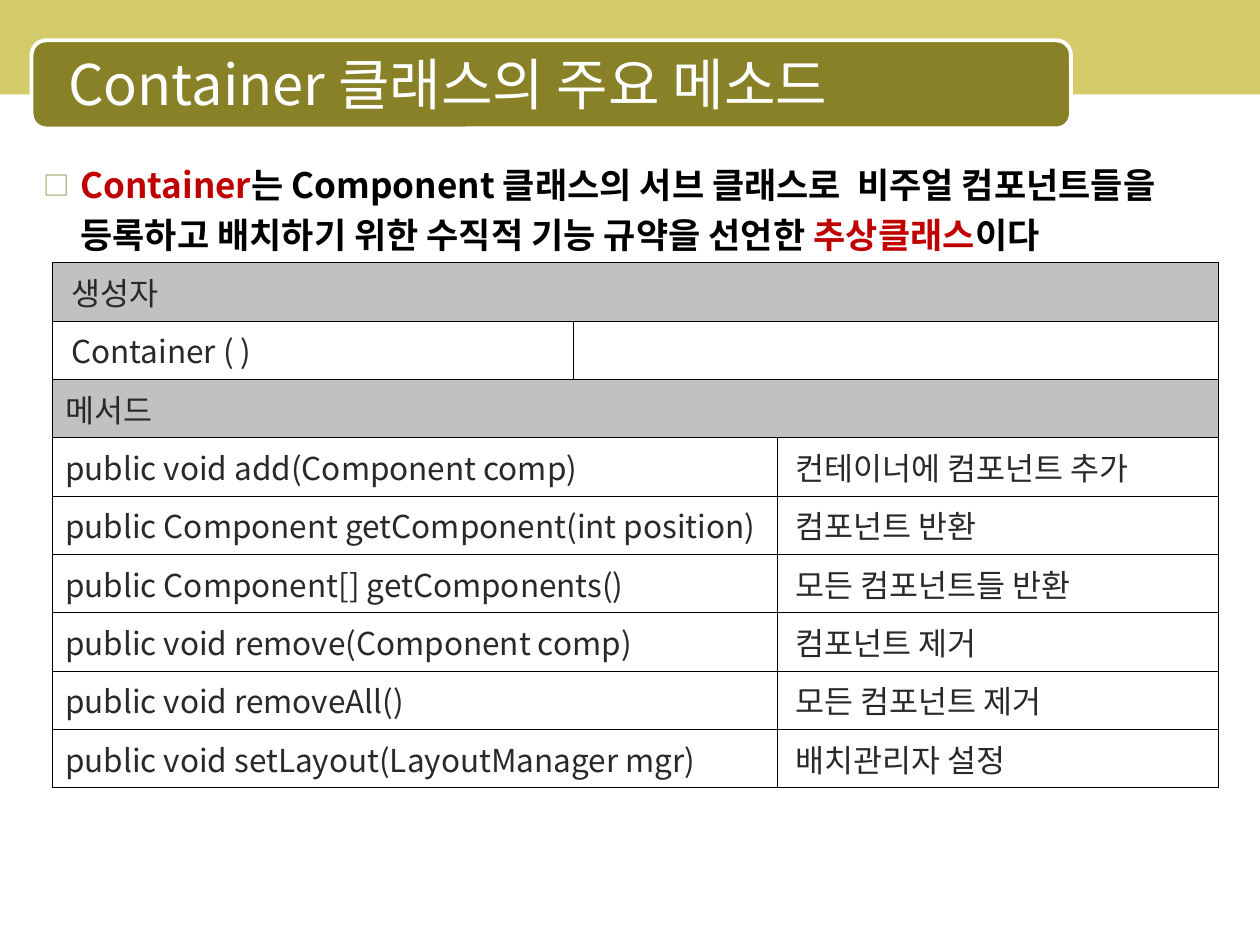
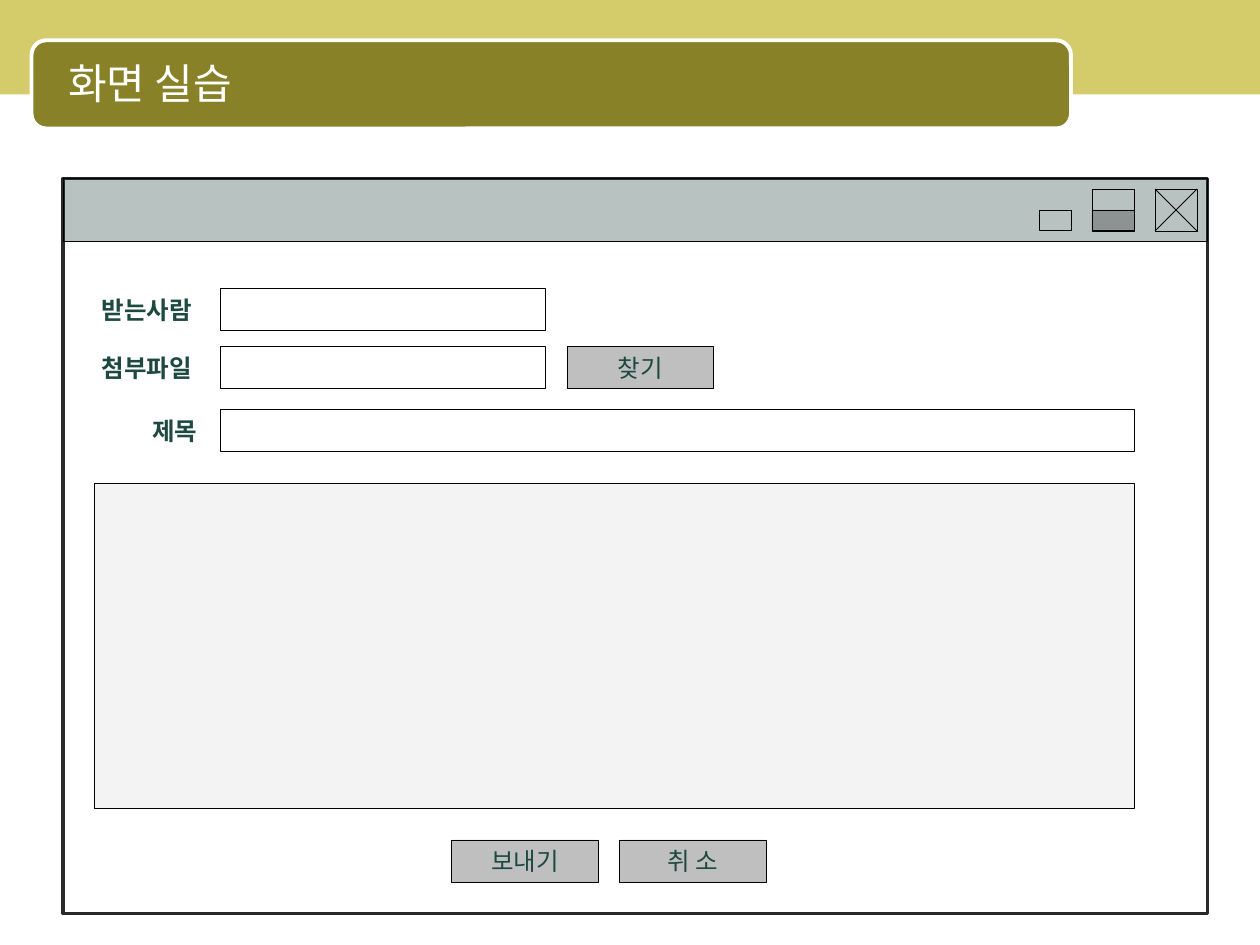
from dataclasses import dataclass
from typing import Optional

from lxml import etree
from pptx import Presentation
from pptx.dml.color import RGBColor
from pptx.enum import shapes, text
from pptx.oxml import ns
from pptx.util import Emu, Inches, Pt

# Shared style: a grid of 120 columns by 90 rows covers the slide
CELL = Inches(1) / 12
SLIDE_COLUMNS, SLIDE_ROWS = 120, 90
FONT = "Noto Sans CJK KR"
COLORS = {
    "band": "D4CC6A", "title": "888128", "white": "FFFFFF", "black": "000000",
    "red": "C00000", "bullet": "8CA35F", "ink": "292929", "header": "C1C1C1",
    "frame_bar": "163730", "label": "1D4940", "button": "BFBFBF", "memo": "D9D9D9",
}
RECTANGLE = shapes.MSO_SHAPE.RECTANGLE
ALIGN = text.PP_ALIGN


@dataclass(frozen=True)
class Area:
    column: float
    row: float
    columns: float
    rows: float

    def emu(self) -> list:
        return [grid(n) for n in (self.column, self.row, self.columns, self.rows)]


@dataclass(frozen=True)
class Box:
    area: Area
    fill: Optional[str] = None
    opacity: int = 100
    line: Optional[str] = "black"
    width: float = 0.5
    kind: int = RECTANGLE


@dataclass(frozen=True)
class Label:
    text: str
    area: Area
    align: int = ALIGN.CENTER


@dataclass(frozen=True)
class Row:
    left: str
    right: str = ""
    header: bool = False
    split: int = 2
    left_margin: float = 0.1


def grid(count: float) -> Emu:
    return Emu(round(count * CELL))


def rgb(name: str) -> RGBColor:
    return RGBColor.from_string(COLORS[name])


def child(parent, tag: str, **attributes: str):
    return etree.SubElement(parent, ns.qn(tag), attributes)


def style(font, size: float, color: str, bold: bool = False) -> None:
    font.name, font.size, font.bold = FONT, Pt(size), bold
    font.color.rgb = rgb(color)


def write(paragraph, content: str, size: float, color: str,
          bold: bool = False, align: int = ALIGN.LEFT) -> None:
    paragraph.text = content
    paragraph.alignment = align
    style(paragraph.font, size, color, bold)


def hang(paragraph, margin: float, indent: float) -> None:
    properties = paragraph._p.get_or_add_pPr()
    properties.set("marL", str(Inches(margin)))
    properties.set("indent", str(Inches(indent)))


def draw_box(slide, box: Box):
    shape = slide.shapes.add_shape(box.kind, *box.area.emu())
    shape.shadow.inherit = False
    if box.fill:
        shape.fill.solid()
        shape.fill.fore_color.rgb = rgb(box.fill)
        if box.opacity < 100:
            color = shape._element.spPr.find(".//" + ns.qn("a:srgbClr"))
            child(color, "a:alpha", val=str(box.opacity * 1000))
    else:
        shape.fill.background()
    if box.line:
        shape.line.color.rgb = rgb(box.line)
        shape.line.width = Pt(box.width)
    else:
        shape.line.fill.background()
    return shape


def draw_line(slide, start: tuple, end: tuple) -> None:
    line = slide.shapes.add_connector(
        shapes.MSO_CONNECTOR.STRAIGHT, *(grid(n) for n in start + end))
    line.line.color.rgb = rgb("black")
    line.line.width = Pt(0.5)
    child(line._element.spPr, "a:effectLst")


def add_text_frame(slide, area: Area):
    frame = slide.shapes.add_textbox(*area.emu()).text_frame
    frame.word_wrap = True
    return frame


def draw_label(slide, label: Label) -> None:
    frame = add_text_frame(slide, label.area)
    write(frame.paragraphs[0], label.text, 14, "label", True, label.align)


def draw_button(slide, label: Label) -> None:
    frame = draw_box(slide, Box(label.area, "button")).text_frame
    frame.word_wrap = False
    frame.vertical_anchor = text.MSO_ANCHOR.MIDDLE
    write(frame.paragraphs[0], label.text, 14, "label", align=label.align)


def add_titled_slide(presentation, title: str, size: float):
    slide = presentation.slides.add_slide(presentation.slide_layouts[6])
    draw_box(slide, Box(Area(0, 0, SLIDE_COLUMNS, 9), "band", line=None))
    draw_box(slide, Box(Area(3, 3.84, 99, 8.4), "title", line="white", width=2.25,
                        kind=shapes.MSO_SHAPE.ROUNDED_RECTANGLE))
    frame = add_text_frame(slide, Area(4.1, 4.2, 97, 7.4))
    frame.vertical_anchor = text.MSO_ANCHOR.MIDDLE
    write(frame.paragraphs[0], title, size, "white")
    hang(frame.paragraphs[0], 0.49, -0.39)
    return slide


# Slide 1: summary sentence and method table
SUMMARY = [
    ("Container", "red"),
    ("는 Component 클래스의 서브 클래스로  비주얼 컴포넌트들을 "
     "등록하고 배치하기 위한 수직적 기능 규약을 선언한 ", "black"),
    ("추상클래스", "red"),
    ("이다", "black"),
]
TABLE_COLUMNS = (49.6, 19.4, 42)
TABLE_ROW = 5.56
INDENTED = 0.15
METHOD_ROWS = [
    Row("생성자", header=True, left_margin=INDENTED),
    Row("Container ( )", split=1, left_margin=INDENTED),
    Row("메서드", header=True),
    Row("public void add(Component comp)", "컨테이너에 컴포넌트 추가"),
    Row("public Component getComponent(int position)", "컴포넌트 반환"),
    Row("public Component[] getComponents()", "모든 컴포넌트들 반환"),
    Row("public void remove(Component comp)", "컴포넌트 제거"),
    Row("public void removeAll()", "모든 컴포넌트 제거"),
    Row("public void setLayout(LayoutManager mgr)", "배치관리자 설정"),
]


def draw_summary(slide) -> None:
    paragraph = add_text_frame(slide, Area(3, 14.16, 114, 10)).paragraphs[0]
    paragraph.line_spacing = 1.2
    hang(paragraph, 0.29, -0.29)
    properties = paragraph._p.get_or_add_pPr()
    child(child(properties, "a:buClr"), "a:srgbClr", val=COLORS["bullet"])
    child(properties, "a:buSzPct", val="75000")
    child(properties, "a:buFont", typeface=FONT)
    child(properties, "a:buChar", char="□")
    for content, color in SUMMARY:
        run = paragraph.add_run()
        run.text = content
        style(run.font, 20, color, True)


def format_cell(cell, header: bool) -> None:
    properties = cell._tc.get_or_add_tcPr()
    for side in ("a:lnL", "a:lnR", "a:lnT", "a:lnB"):
        border = child(properties, side, w=str(Pt(0.06)))
        child(child(border, "a:solidFill"), "a:srgbClr", val=COLORS["black"])
    if header:
        cell.fill.solid()
        cell.fill.fore_color.rgb = rgb("header")
    else:
        cell.fill.background()
    cell.vertical_anchor = text.MSO_ANCHOR.MIDDLE


def fill_cell(cell, content: str, margin: float) -> None:
    cell.margin_left = Inches(margin)
    write(cell.text_frame.paragraphs[0], content, 18, "ink", align=ALIGN.JUSTIFY)


def draw_method_table(slide) -> None:
    area = Area(5, 25, sum(TABLE_COLUMNS), TABLE_ROW * len(METHOD_ROWS))
    table = slide.shapes.add_table(
        len(METHOD_ROWS), len(TABLE_COLUMNS), *area.emu()).table
    table.first_row = table.horz_banding = False
    for column, width in zip(table.columns, TABLE_COLUMNS):
        column.width = grid(width)
    last = len(TABLE_COLUMNS) - 1
    for index, row in enumerate(METHOD_ROWS):
        table.rows[index].height = grid(TABLE_ROW)
        cells = [table.cell(index, column) for column in range(last + 1)]
        for cell in cells:
            format_cell(cell, row.header)
        if row.header:
            cells[0].merge(cells[last])
        elif row.split == 1:
            cells[1].merge(cells[last])
        else:
            cells[0].merge(cells[1])
        fill_cell(cells[0], row.left, row.left_margin)
        if row.right:
            fill_cell(cells[last], row.right, INDENTED)


# Slide 2: mail window mock-up
FIELD_HEIGHT = 4
WINDOW_BOXES = [
    Box(Area(6, 17, 109, 70), "white", line="ink", width=2),
    Box(Area(6, 17, 109, 6), "frame_bar", 30),
    Box(Area(110, 18, 4, 4)),
    Box(Area(104, 18, 4, 4)),
    Box(Area(104, 20, 4, 2), "ink", 30),
    Box(Area(99, 20, 3, 2)),
    Box(Area(9, 46, 99, 31), "memo", 30),
]
CLOSE_CROSS = [((114, 18), (110, 22)), ((110, 18), (114, 22))]
FIELDS = [  # label, row, field columns, label alignment
    ("받는사람", 27.5, 31, ALIGN.CENTER),
    ("첨부파일", 33, 31, ALIGN.CENTER),
    ("제목", 39, 87, ALIGN.RIGHT),
]
BUTTONS = [
    Label("찾기", Area(54, 33, 14, FIELD_HEIGHT)),
    Label("보내기", Area(43, 80, 14, FIELD_HEIGHT)),
    Label("취 소", Area(59, 80, 14, FIELD_HEIGHT)),
]


def draw_mail_window(slide) -> None:
    for box in WINDOW_BOXES:
        draw_box(slide, box)
    for start, end in CLOSE_CROSS:
        draw_line(slide, start, end)
    for name, row, columns, align in FIELDS:
        draw_label(slide, Label(name, Area(8, row, 12, FIELD_HEIGHT), align))
        draw_box(slide, Box(Area(21, row, columns, FIELD_HEIGHT)))
    for button in BUTTONS:
        draw_button(slide, button)


def main() -> None:
    presentation = Presentation()
    presentation.slide_width = grid(SLIDE_COLUMNS)
    presentation.slide_height = grid(SLIDE_ROWS)

    methods = add_titled_slide(presentation, "Container 클래스의 주요 메소드", 32)
    draw_summary(methods)
    draw_method_table(methods)

    practice = add_titled_slide(presentation, "화면 실습", 24)
    draw_mail_window(practice)

    presentation.save("out.pptx")


if __name__ == "__main__":
    main()
